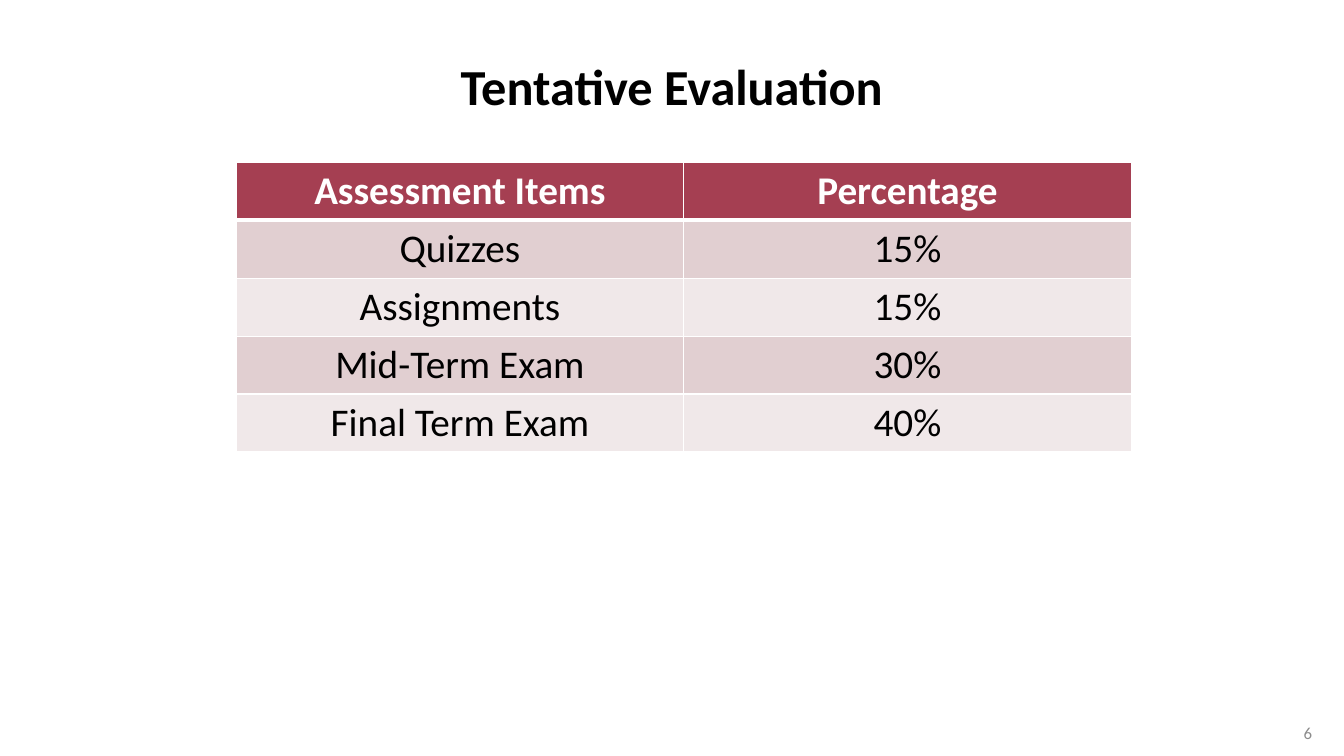
"""Builds the Tentative Evaluation slide with its table of assessment weights."""
from dataclasses import dataclass

from lxml import etree
from pptx import Presentation
from pptx.dml.color import RGBColor
from pptx.enum.text import MSO_ANCHOR, PP_ALIGN
from pptx.oxml.ns import qn
from pptx.util import Cm, Pt

CENTER, RIGHT = PP_ALIGN.CENTER, PP_ALIGN.RIGHT
MIDDLE = MSO_ANCHOR.MIDDLE


@dataclass(frozen=True)
class Theme:
    font: str = "Calibri"
    black: str = "000000"
    white: str = "FFFFFF"
    crimson: str = "A53F52"
    gray: str = "8C8C8C"
    bands: tuple = ("E1CFD1", "F0E8E9")
    title_size: int = 36
    table_size: int = 28
    number_size: int = 12


theme = Theme()


def write(frame, text, *, size, color, align, bold=False):
    """Fill a text frame with one formatted paragraph."""
    paragraph = frame.paragraphs[0]
    paragraph.alignment = align
    run = paragraph.add_run()
    run.text = text
    run.font.name = theme.font
    run.font.size = Pt(size)
    run.font.bold = bold
    run.font.color.rgb = RGBColor.from_string(color)


def set_border(cell, side, width):
    """Draw one white border line of a table cell."""
    line = etree.SubElement(cell._tc.get_or_add_tcPr(), qn(f"a:ln{side}"), w=str(Pt(width)))
    fill = etree.SubElement(line, qn("a:solidFill"))
    etree.SubElement(fill, qn("a:srgbClr"), val=theme.white)


deck = Presentation()
deck.slide_width, deck.slide_height = Cm(33.87), Cm(19.05)
slide = deck.slides.add_slide(deck.slide_layouts[6])

page_number = slide.shapes.add_textbox(Cm(32.08), Cm(17.96), Cm(1.24), Cm(1.02)).text_frame
page_number.word_wrap = True
page_number.vertical_anchor = MIDDLE
write(page_number, "6", size=theme.number_size, color=theme.gray, align=RIGHT)

title = slide.shapes.add_textbox(Cm(1.65), Cm(1), Cm(30.56), Cm(2.29)).text_frame
title.word_wrap = True
title.vertical_anchor = MIDDLE
write(title, "Tentative Evaluation", size=theme.title_size, color=theme.black, align=CENTER, bold=True)

assessments = [
    ("Assessment Items", "Percentage"),
    ("Quizzes", "15%"),
    ("Assignments", "15%"),
    ("Mid-Term Exam", "30%"),
    ("Final Term Exam", "40%"),
]
row_height = 1.46
evaluation = slide.shapes.add_table(
    len(assessments), 2, Cm(5.95), Cm(4.09), Cm(22.56), Cm(row_height * len(assessments))
).table

for row, entries in enumerate(assessments):
    header = row == 0
    fill_color = theme.crimson if header else theme.bands[(row - 1) % 2]
    text_color = theme.white if header else theme.black
    widths = {"L": 1, "R": 1, "T": 3 if row == 1 else 1, "B": 3 if header else 1}
    for column, entry in enumerate(entries):
        cell = evaluation.cell(row, column)
        for side, width in widths.items():
            set_border(cell, side, width)
        cell.fill.solid()
        cell.fill.fore_color.rgb = RGBColor.from_string(fill_color)
        write(cell.text_frame, entry, size=theme.table_size, color=text_color, align=CENTER, bold=header)

deck.save("out.pptx")
